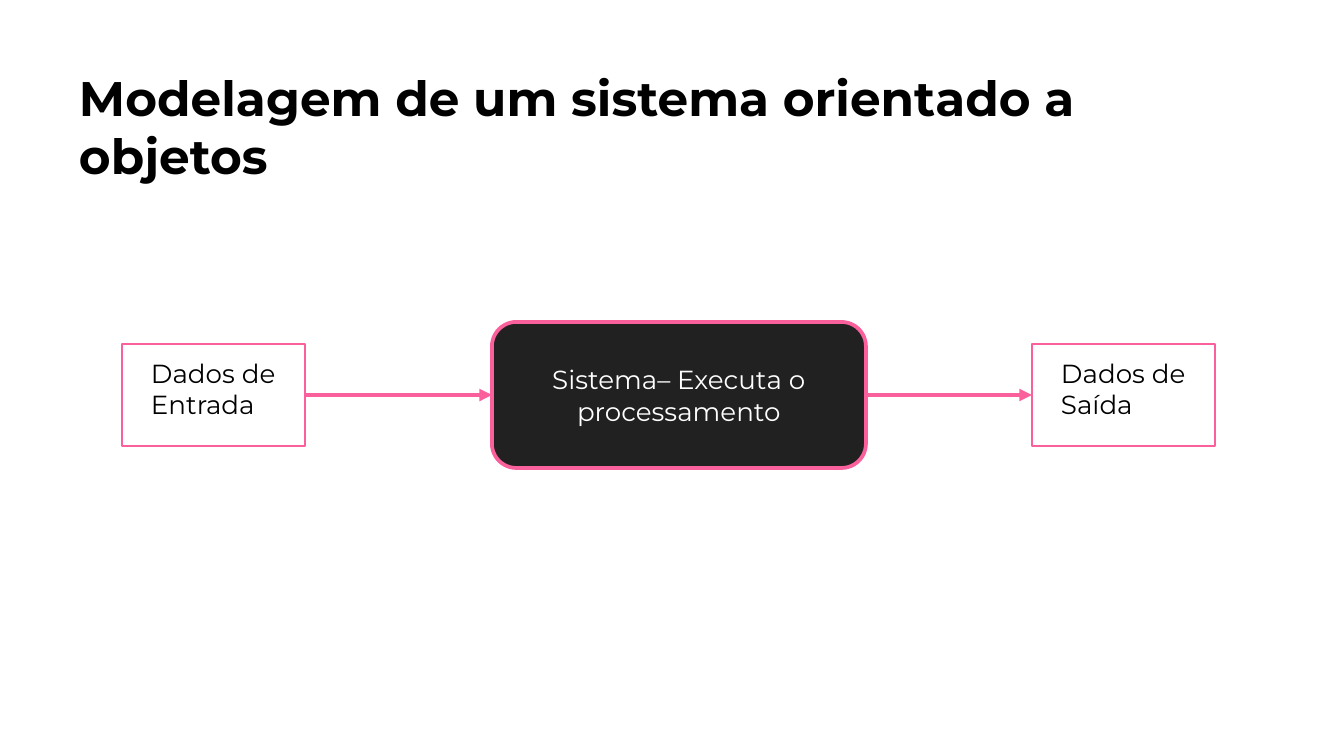
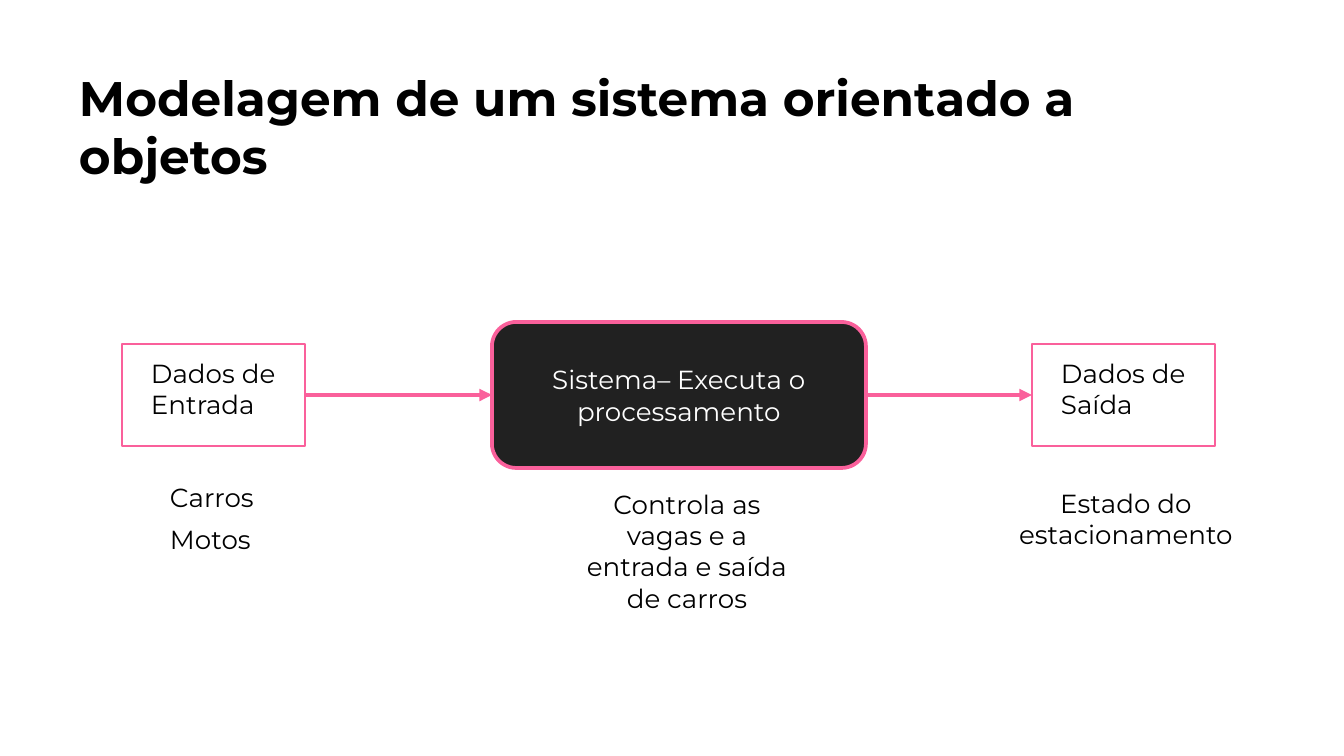
from pptx import Presentation
from pptx import util as u
from pptx.dml.color import RGBColor
from pptx.enum import shapes, text
from pptx.oxml.ns import qn
from lxml import etree

PX = 914400 / 134.4
PINK, DARK, BLACK, WHITE = "FA609B", "212121", "000000", "FFFFFF"
MIDDLE = 395
INDENT = 16
TITLE = "Modelagem de um sistema orientado a objetos"
STAGES = [
    ("Dados de Entrada", 122, 183, 102),
    ("Sistema– Executa o processamento", 492, 374, 146),
    ("Dados de Saída", 1032, 183, 102),
]
EXAMPLES = [
    (["Carros", "Motos"], (141, 474, 145, 89), text.PP_ALIGN.LEFT),
    (["Controla as vagas e a entrada e saída de carros"], (546, 481, 266, 140), text.PP_ALIGN.CENTER),
    (["Estado do estacionamento"], (985, 480, 266, 77), text.PP_ALIGN.CENTER),
]


def px(*lengths):
    return [u.Emu(round(length * PX)) for length in lengths]


def write(shape, lines, align=text.PP_ALIGN.LEFT, size=14, color=BLACK, bold=False, indent=0, inset=(13, 7),
          anchor=text.MSO_ANCHOR.TOP):
    frame = shape.text_frame
    frame.word_wrap = True
    frame.auto_size = text.MSO_AUTO_SIZE.NONE
    frame.vertical_anchor = anchor
    frame.margin_left, frame.margin_top = frame.margin_right, frame.margin_bottom = px(*inset)
    for index, line in enumerate(lines):
        paragraph = frame.paragraphs[0] if index == 0 else frame.add_paragraph()
        paragraph.alignment = align
        properties = paragraph._p.get_or_add_pPr()
        properties.set("marL", str(px(indent)[0]))
        properties.set("indent", "0")
        if index:
            paragraph.space_before = u.Pt(6)
        run = paragraph.add_run()
        run.text = line
        run.font.name = "Montserrat"
        run.font.size = u.Pt(size)
        run.font.bold = bold
        run.font.color.rgb = RGBColor.from_string(color)


presentation = Presentation()
presentation.slide_width, presentation.slide_height = px(1344, 756)

for examples in ([], EXAMPLES):
    slide = presentation.slides.add_slide(presentation.slide_layouts[5])
    title = slide.shapes.title
    title.left, title.top, title.width, title.height = px(66, 55, 1052, 145)
    write(title, [TITLE], size=26, bold=True, inset=(13, 13))

    boxes = []
    for label, left, width, height in STAGES:
        system = label.startswith("Sistema")
        kind = shapes.MSO_SHAPE.ROUNDED_RECTANGLE if system else shapes.MSO_SHAPE.RECTANGLE
        box = slide.shapes.add_shape(kind, *px(left, MIDDLE - height / 2, width, height))
        box.shadow.inherit = False
        box.line.color.rgb = RGBColor.from_string(PINK)
        box.line.width = u.Pt(2 if system else 0.75)
        if system:
            box.fill.solid()
            box.fill.fore_color.rgb = RGBColor.from_string(DARK)
            write(box, [label], text.PP_ALIGN.CENTER, color=WHITE, anchor=text.MSO_ANCHOR.MIDDLE)
        else:
            box.fill.background()
            write(box, [label], indent=INDENT, inset=(13, 13))
        boxes.append(box)

    for source, target in zip(boxes, boxes[1:]):
        arrow = slide.shapes.add_connector(shapes.MSO_CONNECTOR.STRAIGHT, 0, 0, 0, 0)
        arrow.begin_connect(source, 3)
        arrow.end_connect(target, 1)
        arrow.line.color.rgb = RGBColor.from_string(PINK)
        arrow.line.width = u.Pt(2.25)
        etree.SubElement(arrow.line._get_or_add_ln(), qn("a:tailEnd"), type="triangle")
        etree.SubElement(arrow._element.spPr, qn("a:effectLst"))

    for lines, place, align in examples:
        caption = slide.shapes.add_textbox(*px(*place))
        write(caption, lines, align, indent=INDENT)

presentation.save("out.pptx")
